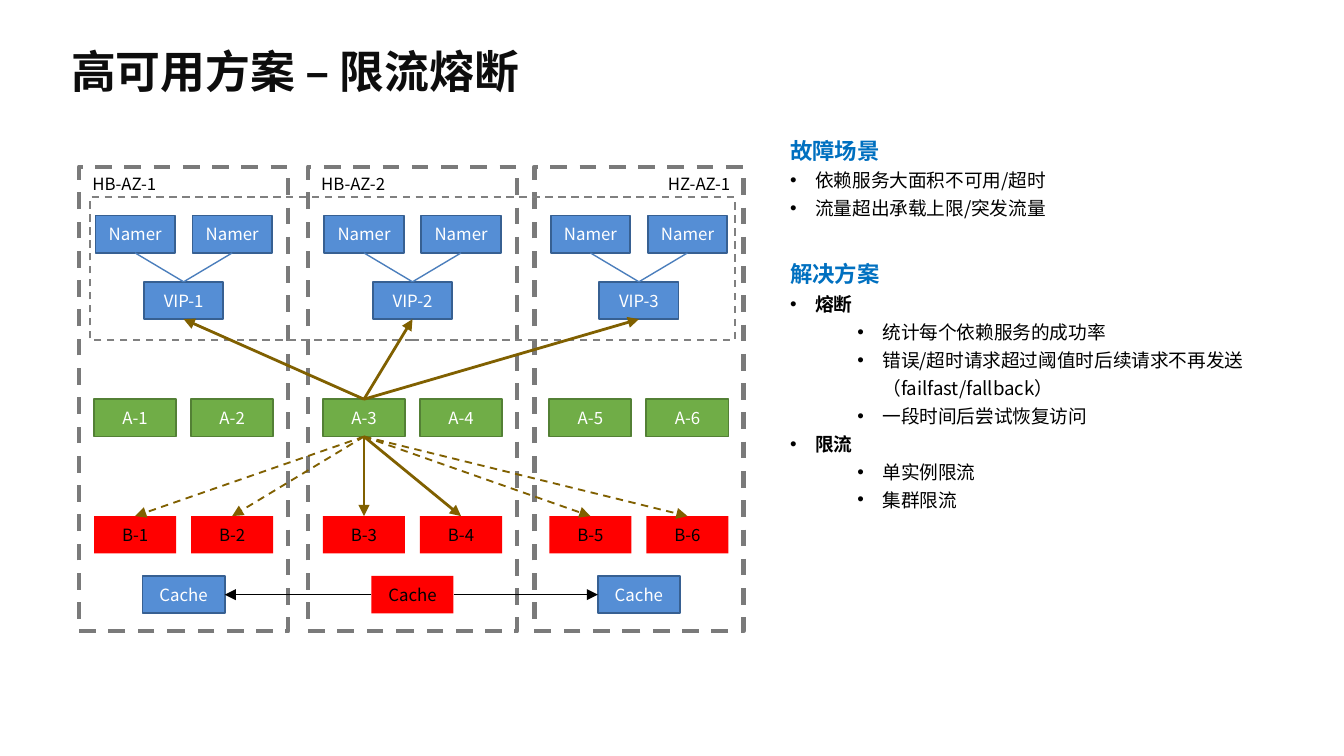
from dataclasses import dataclass

from lxml.etree import SubElement
from pptx import Presentation
from pptx.dml.color import RGBColor as Color
from pptx.enum.dml import MSO_LINE_DASH_STYLE as Dash
from pptx.enum.shapes import MSO_CONNECTOR as Connector
from pptx.enum.shapes import MSO_SHAPE as Shape
from pptx.enum.text import MSO_ANCHOR as Anchor
from pptx.enum.text import PP_ALIGN as Align
from pptx.oxml.ns import qn
from pptx.util import Pt


@dataclass(frozen=True)
class Theme:
    font: str = "Noto Sans CJK SC"
    title_size: float = 24
    heading_size: float = 12
    body_size: float = 10
    label_size: float = 9
    title: str = "0D0D0D"
    heading: str = "0070C0"
    black: str = "000000"
    white: str = "FFFFFF"
    zone: str = "7A7A7A"
    cluster: str = "808080"
    blue: str = "558ED5"
    blue_edge: str = "376092"
    green: str = "70AD47"
    green_edge: str = "538035"
    red: str = "FF0000"
    link: str = "4B7EBC"
    call: str = "806000"


THEME = Theme()
TOP, LEFT, BOTTOM, RIGHT = range(4)
BOX_HEIGHT = 20
PAIR_OFFSET = 26

ZONES = [
    ("HB-AZ-1", 98.4, Align.LEFT),
    ("HB-AZ-2", 221, Align.LEFT),
    ("HZ-AZ-1", 342.3, Align.RIGHT),
]

NOTES = [
    ("heading", "故障场景"),
    ("item", "依赖服务大面积不可用/超时"),
    ("item", "流量超出承载上限/突发流量"),
    ("heading", "解决方案"),
    ("topic", "熔断"),
    ("detail", "统计每个依赖服务的成功率"),
    ("detail", "错误/超时请求超过阈值时后续请求不再发送（failfast/fallback）"),
    ("detail", "一段时间后尝试恢复访问"),
    ("topic", "限流"),
    ("detail", "单实例限流"),
    ("detail", "集群限流"),
]


def style_text(paragraph, size, color, bold=False):
    for run in paragraph.runs:
        font = run.font
        font.name, font.size, font.bold = THEME.font, Pt(size), bold
        font.color.rgb = Color.from_string(color)
        SubElement(font._element, qn("a:ea"), typeface=THEME.font)


def style_line(line, color, width, dashed=False):
    line.color.rgb = Color.from_string(color)
    line.width = Pt(width)
    if dashed:
        line.dash_style = Dash.DASH


def add_rectangle(slide, left, top, width, height, fill=None):
    shape = slide.shapes.add_shape(
        Shape.RECTANGLE, Pt(left), Pt(top), Pt(width), Pt(height))
    shape.shadow.inherit = False
    if fill:
        shape.fill.solid()
        shape.fill.fore_color.rgb = Color.from_string(fill)
    else:
        shape.fill.background()
    return shape


def add_frame(slide, left, top, width, height, color, weight):
    shape = add_rectangle(slide, left, top, width, height)
    style_line(shape.line, color, weight, dashed=True)
    return shape


def add_zone(slide, name, center, align):
    shape = add_frame(slide, center - 56, 89.3, 112, 249, THEME.zone, 2.25)
    frame = shape.text_frame
    frame.text = name
    frame.vertical_anchor = Anchor.TOP
    frame.paragraphs[0].alignment = align
    style_text(frame.paragraphs[0], THEME.label_size, THEME.black)


def add_node(slide, text, center, top, width, fill, edge=None, color=THEME.white):
    shape = add_rectangle(slide, center - width / 2, top, width, BOX_HEIGHT, fill)
    if edge:
        style_line(shape.line, edge, 1)
    else:
        shape.line.fill.background()
    frame = shape.text_frame
    frame.margin_left = frame.margin_right = Pt(0)
    frame.margin_top = frame.margin_bottom = Pt(0)
    frame.text = text
    frame.vertical_anchor = Anchor.MIDDLE
    frame.paragraphs[0].alignment = Align.CENTER
    style_text(frame.paragraphs[0], THEME.label_size, color)
    return shape


def add_link(slide, start, start_side, end, end_side, color, width,
             dashed=False, arrow=True):
    connector = slide.shapes.add_connector(
        Connector.STRAIGHT, Pt(0), Pt(0), Pt(0), Pt(0))
    connector.begin_connect(start, start_side)
    connector.end_connect(end, end_side)
    style_line(connector.line, color, width, dashed)
    properties = connector.element.spPr
    if arrow:
        SubElement(properties.find(qn("a:ln")), qn("a:tailEnd"), type="triangle")
    SubElement(properties, qn("a:effectLst"))


def add_text_box(slide, left, top, width, height):
    frame = slide.shapes.add_textbox(
        Pt(left), Pt(top), Pt(width), Pt(height)).text_frame
    frame.word_wrap = True
    return frame


def add_title(slide, text):
    frame = add_text_box(slide, 31, 20.9, 385, 33.8)
    frame.vertical_anchor = Anchor.MIDDLE
    frame.text = text
    style_text(frame.paragraphs[0], THEME.title_size, THEME.title, bold=True)


def add_bullet(paragraph, indent):
    properties = paragraph._p.get_or_add_pPr()
    properties.set("marL", str(Pt(indent)))
    properties.set("indent", str(Pt(-13.5)))
    SubElement(properties, qn("a:buFont"), typeface="Arial")
    SubElement(properties, qn("a:buChar"), char="•")


def add_notes(slide, notes):
    frame = add_text_box(slide, 416.2, 66.2, 283.7, 211.7)
    frame.text = "\n".join(text for _, text in notes)
    for index, (paragraph, (kind, _)) in enumerate(zip(frame.paragraphs, notes)):
        if kind == "heading":
            paragraph.line_spacing = Pt(18)
            paragraph.space_before = Pt(18 if index else 0)
            style_text(paragraph, THEME.heading_size, THEME.heading, bold=True)
            continue
        paragraph.line_spacing = Pt(15)
        paragraph.level = int(kind == "detail")
        add_bullet(paragraph, 49.5 if kind == "detail" else 13.5)
        style_text(paragraph, THEME.body_size, THEME.black, kind == "topic")


def add_registry(slide, center, number):
    vip = add_node(slide, f"VIP-{number}", center, 151, 42.5,
                   THEME.blue, THEME.blue_edge)
    for offset in (-PAIR_OFFSET, PAIR_OFFSET):
        node = add_node(slide, "Namer", center + offset, 115.5, 42.5,
                        THEME.blue, THEME.blue_edge)
        add_link(slide, node, BOTTOM, vip, TOP, THEME.link, 0.75, arrow=False)
    return vip


def add_architecture(slide):
    for zone in ZONES:
        add_zone(slide, *zone)
    add_frame(slide, 48.2, 105.8, 345.6, 76.3, THEME.cluster, 1)

    centers = [center for _, center, _ in ZONES]
    vips = [add_registry(slide, center, number)
            for number, center in enumerate(centers, 1)]
    pairs = [center + offset for center in centers
             for offset in (-PAIR_OFFSET, PAIR_OFFSET)]
    callers = [add_node(slide, f"A-{number}", center, 213.9, 44,
                        THEME.green, THEME.green_edge)
               for number, center in enumerate(pairs, 1)]
    services = [add_node(slide, f"B-{number}", center, 276.5, 44,
                         THEME.red, color=THEME.black)
                for number, center in enumerate(pairs, 1)]
    caller = callers[2]
    for vip in vips:
        add_link(slide, caller, TOP, vip, BOTTOM, THEME.call, 1.5)
    for index, service in enumerate(services):
        local = index in (2, 3)
        add_link(slide, caller, BOTTOM, service, TOP, THEME.call,
                 1.5 if local else 1, dashed=not local)

    left, right = (add_node(slide, "Cache", center, 308.6, 44,
                            THEME.blue, THEME.blue_edge)
                   for center in (centers[0], centers[2]))
    middle = add_node(slide, "Cache", centers[1], 308.6, 44,
                      THEME.red, color=THEME.black)
    add_link(slide, middle, LEFT, left, RIGHT, THEME.black, 0.75)
    add_link(slide, middle, RIGHT, right, LEFT, THEME.black, 0.75)


def main():
    presentation = Presentation()
    presentation.slide_width, presentation.slide_height = Pt(720), Pt(405)
    slide = presentation.slides.add_slide(presentation.slide_layouts[6])
    add_title(slide, "高可用方案 – 限流熔断")
    add_architecture(slide)
    add_notes(slide, NOTES)
    presentation.save("out.pptx")


if __name__ == "__main__":
    main()
